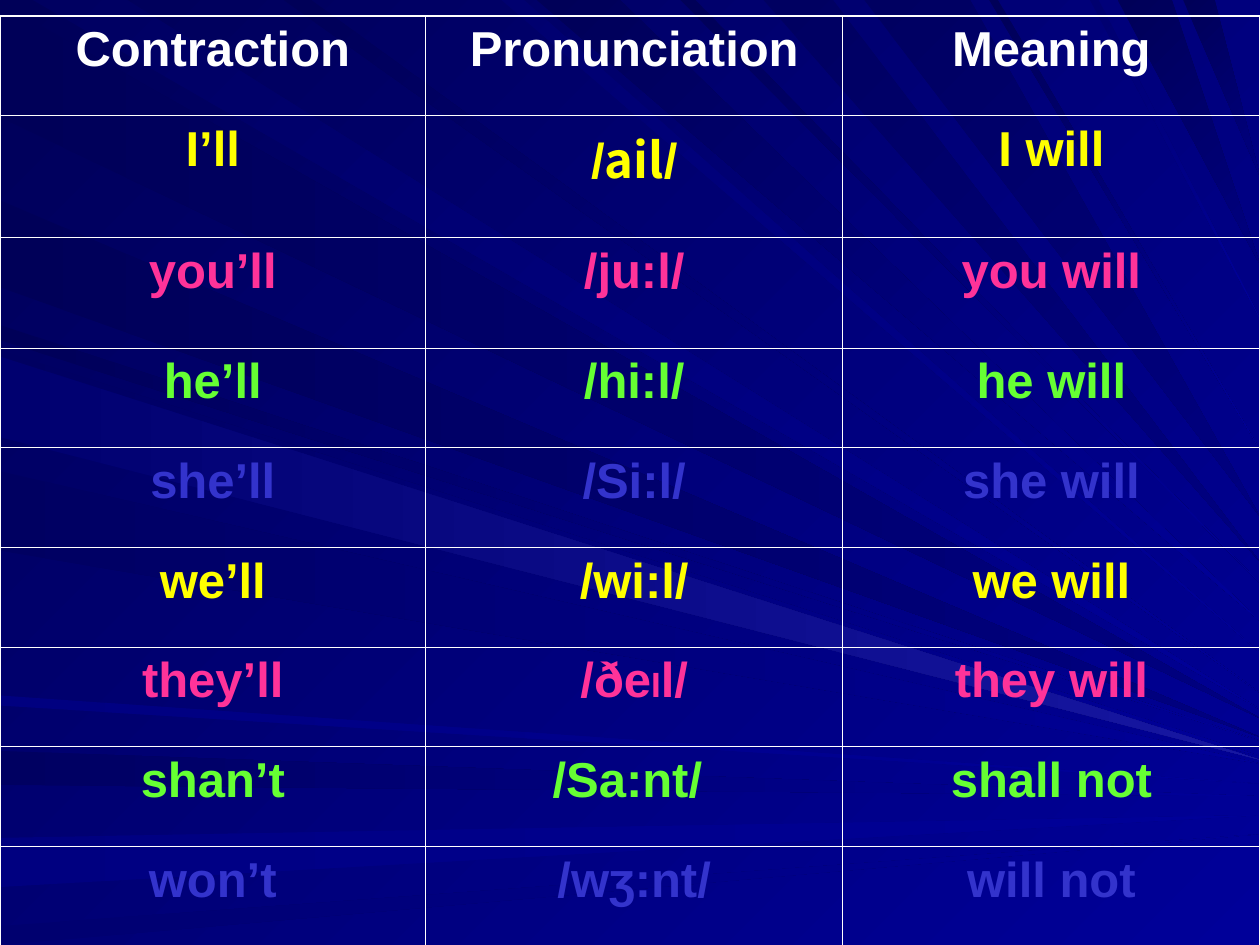
from lxml import etree
from pptx import Presentation
from pptx import util as u
from pptx.dml.color import RGBColor
from pptx.enum import text
from pptx.oxml import ns

WHITE = RGBColor.from_string("FFFFFF")
YELLOW = RGBColor.from_string("FFFF00")
PINK = RGBColor.from_string("FF3399")
GREEN = RGBColor.from_string("66FF33")
VIOLET = RGBColor.from_string("3333CC")
DARK = RGBColor.from_string("000058")
DUSK = RGBColor.from_string("000061")
DEEP = RGBColor.from_string("00006F")
NAVY = RGBColor.from_string("000080")
BLUE = RGBColor.from_string("000099")
GLOW = RGBColor.from_string("1717A2")

UNIT = u.Cm(0.0254)  # rays are measured in hundredths of an inch
EDGE = 1000

# start and stop on the slide's left side, height on its right side, colours
LEFT = [
    (2, 93, 570, DARK, NAVY),
    (596, 623, 632, DUSK, BLUE),
    (665, 704, 647, NAVY, BLUE),
    (735, 750, 662, DEEP, BLUE),
    (258, 270, 588, DARK, BLUE),
    (159, 228, 585, DARK, NAVY),
    (278, 342, 600, DUSK, BLUE),
    (374, 437, 606, DUSK, BLUE),
    (552, 560, 622, NAVY, BLUE),
    (283, 347, 603, DEEP, GLOW),
]
# start and stop on the top side, height on the right side, colours
TOP = [
    (26, 101, 563, DUSK, BLUE),
    (225, 247, 550, DARK, BLUE),
    (398, 416, 518, DEEP, BLUE),
    (426, 492, 493, DARK, BLUE),
    (540, 552, 463, DARK, BLUE),
    (606, 661, 446, DUSK, NAVY),
    (686, 770, 410, DUSK, NAVY),
    (785, 792, 357, DARK, BLUE),
    (865, 872, 253, DEEP, BLUE),
    (887, 930, 210, DARK, NAVY),
    (939, 964, 140, DARK, NAVY),
]

# colour, then the cells; a cell is a list of (text, format) runs
ROWS = [
    (WHITE, "Contraction", "Pronunciation", "Meaning"),
    (YELLOW, "I’ll", [("/", {}), ("ail", {"face": "Noto Sans CJK KR"}), ("/", {})], "I will"),
    (PINK, "you’ll", "/ju:l/", "you will"),
    (GREEN, "he’ll", "/hi:l/", "he will"),
    (VIOLET, "she’ll", "/Ѕi:l/", "she will"),
    (YELLOW, "we’ll", "/wi:l/", "we will"),
    (PINK, "they’ll", [("/ðe", {}), ("I", {"size": 20}), ("l/", {})], "they will"),
    (GREEN, "shan’t", "/Ѕa:nt/ ", "shall not"),
    (VIOLET, "won’t", "/wʒ:nt/", "will not"),
]
WIDTHS = [8.58, 8.41, 8.41]
HEIGHTS = [2.01, 2.46, 2.23] + [2.01] * 6


def write(par, words, color=WHITE, size=28, face="Arial"):
    run = par.add_run()
    run.text = words
    run.font.name, run.font.size, run.font.bold = face, u.Pt(size), True
    run.font.color.rgb = color


def blend(fill, first, last, angle):
    """Fill with a gradient whose angle runs clockwise."""
    fill.gradient()
    fill.gradient_angle = (360 - angle) % 360
    for stop, color in zip(fill.gradient_stops, (first, last)):
        stop.color.rgb = color


def edge(cell, side, width):
    """Draw one border; sides must come in the order L, R, T, B."""
    props = cell._tc.get_or_add_tcPr()
    line = etree.SubElement(props, ns.qn(f"a:ln{side}"), w=str(u.Pt(width)))
    solid = etree.SubElement(line, ns.qn("a:solidFill"))
    etree.SubElement(solid, ns.qn("a:srgbClr"), val=str(WHITE))


class Deck:
    thin, thick = 0.45, 1.08

    def __init__(self):
        self.file = Presentation()
        self.file.slide_width, self.file.slide_height = u.Cm(25.4), u.Cm(19.05)
        self.slide = self.file.slides.add_slide(self.file.slide_layouts[6])

    def back(self, first, last, angle):
        blend(self.slide.background.fill, first, last, angle)

    def ray(self, points, first, last, angle):
        pen = self.slide.shapes.build_freeform(*points[0], scale=UNIT)
        pen.add_line_segments(points[1:], close=True)
        shape = pen.convert_to_shape()
        shape.shadow.inherit = False
        shape.line.fill.background()
        blend(shape.fill, first, last, angle)

    def table(self, left, top, widths, heights, rows):
        frame = self.slide.shapes.add_table(
            len(rows), len(widths), u.Cm(left), u.Cm(top),
            u.Cm(sum(widths)), u.Cm(sum(heights)))
        grid = frame.table
        grid.first_row = grid.horz_banding = False
        for col, width in zip(grid.columns, widths):
            col.width = u.Cm(width)
        for row, height in zip(grid.rows, heights):
            row.height = u.Cm(height)
        for r, (color, *cells) in enumerate(rows):
            for c, runs in enumerate(cells):
                outer = {"L": c == 0, "R": c == len(widths) - 1,
                         "T": r == 0, "B": r == len(rows) - 1}
                self.cell(grid.cell(r, c), runs, color, outer)

    def cell(self, cell, runs, color, outer):
        for side, bold in outer.items():
            edge(cell, side, self.thick if bold else self.thin)
        cell.fill.background()
        par = cell.text_frame.paragraphs[0]
        par.alignment = text.PP_ALIGN.CENTER
        for words, style in [(runs, {})] if isinstance(runs, str) else runs:
            write(par, words, color=color, **style)


def main():
    deck = Deck()
    deck.back(DARK, BLUE, 45)
    for start, stop, end, first, last in LEFT:
        deck.ray([(0, start), (0, stop), (EDGE, end)], first, last, 0)
    for start, stop, end, first, last in TOP:
        deck.ray([(start, 0), (stop, 0), (EDGE, end)], first, last, 45)
    deck.table(0, 0.32, WIDTHS, HEIGHTS, ROWS)
    deck.file.save("out.pptx")


if __name__ == "__main__":
    main()
